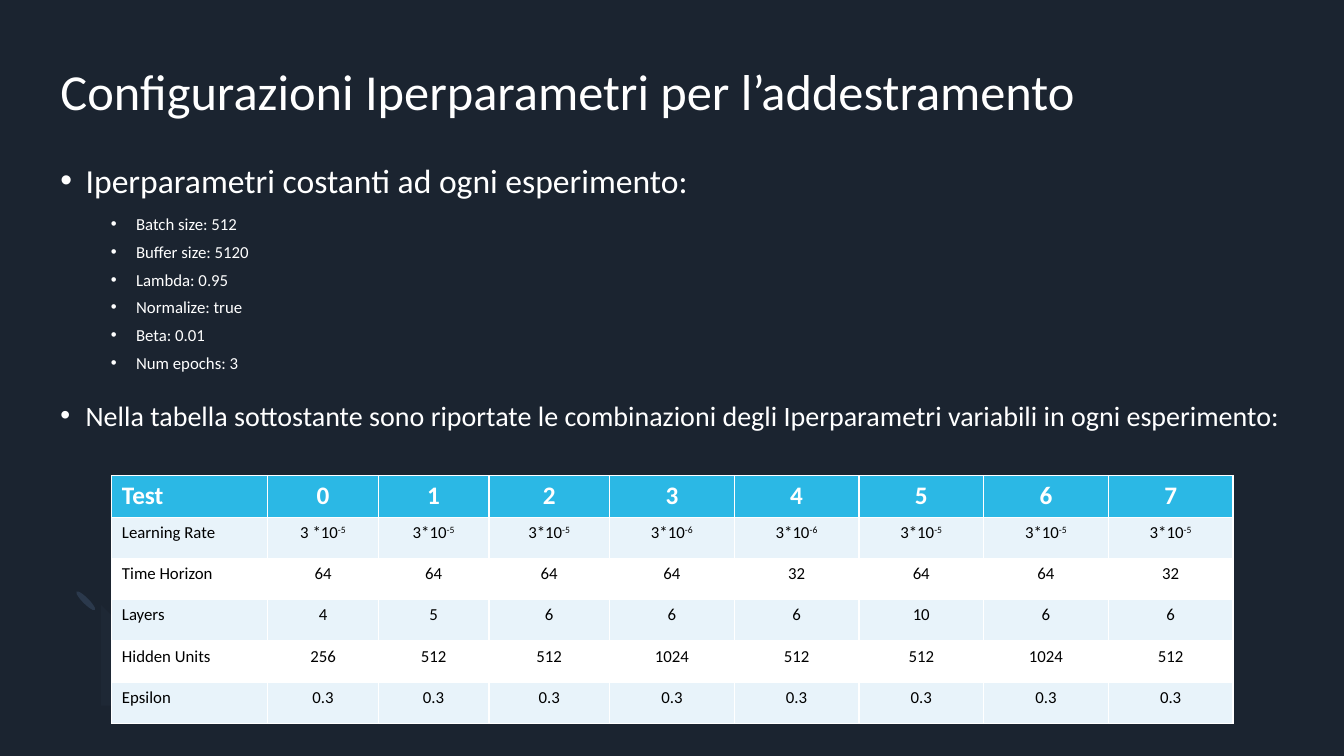
from dataclasses import dataclass

from lxml.etree import SubElement
from pptx import Presentation
from pptx.dml.color import RGBColor
from pptx.enum.shapes import MSO_SHAPE as Preset
from pptx.enum.text import MSO_ANCHOR as Anchor, MSO_AUTO_SIZE as AutoSize, PP_ALIGN as Align
from pptx.oxml.ns import qn
from pptx.util import Inches, Pt


@dataclass(frozen=True)
class Theme:
    font: str = "Calibri"
    background: str = "1B2430"
    light: str = "FFFFFF"
    dark: str = "000000"
    header: str = "2BB8E5"
    band: str = "E8F3FA"
    petal: str = "2B394C"
    arc: str = "748EB1"
    title_size: int = 36
    lead_size: int = 24
    note_size: int = 20
    header_size: int = 18
    small_size: int = 12


THEME = Theme()
WIDTH, HEIGHT = 13.33, 7.5
MARGIN = 0.6
CONTENT_WIDTH = WIDTH - 2 * MARGIN

CONSTANTS = ["Batch size: 512", "Buffer size: 5120", "Lambda: 0.95",
             "Normalize: true", "Beta: 0.01", "Num epochs: 3"]
# A caret marks the start of a superscript
EXPERIMENTS = [
    ["Test", "0", "1", "2", "3", "4", "5", "6", "7"],
    ["Learning Rate", "3 *10^-5", "3*10^-5", "3*10^-5", "3*10^-6",
     "3*10^-6", "3*10^-5", "3*10^-5", "3*10^-5"],
    ["Time Horizon", "64", "64", "64", "64", "32", "64", "64", "32"],
    ["Layers", "4", "5", "6", "6", "6", "10", "6", "6"],
    ["Hidden Units", "256", "512", "512", "1024", "512", "512", "1024", "512"],
    ["Epsilon"] + ["0.3"] * 8,
]
COLUMN_WEIGHTS = [1.55, 1.1, 1.1, 1.2] + [1.24] * 5


def style_run(run, size, color, bold=False):
    run.font.name = THEME.font
    run.font.size = Pt(size)
    run.font.bold = bold
    run.font.color.rgb = RGBColor.from_string(color)


def prepare_frame(frame):
    frame.margin_left = frame.margin_right = frame.margin_top = frame.margin_bottom = 0
    frame.word_wrap = True
    frame.auto_size = AutoSize.NONE
    frame.vertical_anchor = Anchor.TOP


def fill_shape(shape, color):
    shape.shadow.inherit = False
    shape.fill.solid()
    shape.fill.fore_color.rgb = RGBColor.from_string(color)
    shape.line.fill.background()


def curve(start, control_a, control_b, end, steps=12):
    """Points along a cubic curve, without its start."""
    points = []
    for step in range(1, steps + 1):
        t = step / steps
        weights = [(1 - t) ** 3, 3 * t * (1 - t) ** 2, 3 * t * t * (1 - t), t ** 3]
        points.append(tuple(
            sum(w * p[axis] for w, p in zip(weights, (start, control_a, control_b, end)))
            for axis in (0, 1)))
    return points


def add_decoration(slide, left, top):
    # Faint open ring
    outline = curve((0.31, 0.77), (0.11, 0.57), (0.13, 0.23), (0.36, 0))
    outline.append((0.54, 0.18))
    outline += curve((0.54, 0.18), (0.42, 0.29), (0.41, 0.47), (0.51, 0.56))
    outline += curve((0.51, 0.56), (0.61, 0.66), (0.78, 0.65), (0.9, 0.54))
    outline.append((1.07, 0.72))
    outline += curve((1.07, 0.72), (0.85, 0.94), (0.5, 0.97), (0.31, 0.77))
    points = [(left + x, top + y) for x, y in outline]
    builder = slide.shapes.build_freeform(*points[-1], scale=Inches(1))
    builder.add_line_segments(points, close=True)
    ring = builder.convert_to_shape()
    fill_shape(ring, THEME.arc)
    color = ring.fill._xPr.find(qn("a:solidFill"))[0]
    SubElement(color, qn("a:alpha")).set("val", "4000")
    # Slanted tips of the ring
    for x, y in ((0.9, 0.55), (0.37, 0.01)):
        tip = slide.shapes.add_shape(Preset.OVAL, Inches(left + x), Inches(top + y),
                                     Inches(0.06), Inches(0.26))
        tip.rotation = 135
        fill_shape(tip, THEME.petal)


def add_title(slide, left, top, width, height):
    title = slide.shapes.title
    title.left, title.top = Inches(left), Inches(top)
    title.width, title.height = Inches(width), Inches(height)
    prepare_frame(title.text_frame)
    title.text_frame.text = "Configurazioni Iperparametri per l’addestramento"
    paragraph = title.text_frame.paragraphs[0]
    paragraph.alignment = Align.LEFT
    style_run(paragraph.runs[0], THEME.title_size, THEME.light)


def add_bullets(slide, left, top, width, height):
    box = slide.shapes.add_textbox(Inches(left), Inches(top), Inches(width), Inches(height))
    frame = box.text_frame
    prepare_frame(frame)
    # Text, level, size, space before, space after
    items = [("Iperparametri costanti ad ogni esperimento:", 0, THEME.lead_size, 0, 8)]
    items += [(text, 1, THEME.small_size, 0, 4) for text in CONSTANTS]
    items.append(("Nella tabella sottostante sono riportate le combinazioni degli "
                  "Iperparametri variabili in ogni esperimento:", 0, THEME.note_size, 12, 8))
    for index, (text, level, size, before, after) in enumerate(items):
        paragraph = frame.add_paragraph() if index else frame.paragraphs[0]
        paragraph.text = text
        paragraph.level = level
        properties = paragraph._p.get_or_add_pPr()
        properties.set("marL", str(Inches(0.25 + 0.5 * level)))
        properties.set("indent", str(-Inches(0.25)))
        SubElement(properties, qn("a:buFont")).set("typeface", "Arial")
        SubElement(properties, qn("a:buChar")).set("char", "•")
        paragraph.line_spacing = 1.1
        paragraph.space_before, paragraph.space_after = Pt(before), Pt(after)
        style_run(paragraph.runs[0], size, THEME.light)


def style_cell(cell, fill):
    properties = cell._tc.get_or_add_tcPr()
    for side in ("lnL", "lnR", "lnT", "lnB"):
        border = SubElement(properties, qn(f"a:{side}"), w=str(Pt(1)))
        SubElement(SubElement(border, qn("a:solidFill")), qn("a:srgbClr"), val=THEME.light)
    cell.fill.solid()
    cell.fill.fore_color.rgb = RGBColor.from_string(fill)


def write_cell(cell, text, is_header, is_label):
    paragraph = cell.text_frame.paragraphs[0]
    paragraph.alignment = Align.LEFT if is_label else Align.CENTER
    size = THEME.header_size if is_header else THEME.small_size
    color = THEME.light if is_header else THEME.dark
    for position, part in enumerate(text.split("^")):
        run = paragraph.add_run()
        run.text = part
        style_run(run, size, color, bold=is_header)
        if position:
            run._r.get_or_add_rPr().set("baseline", "30000")


def add_experiments(slide, left, top, width, height):
    rows, columns = len(EXPERIMENTS), len(COLUMN_WEIGHTS)
    table = slide.shapes.add_table(rows, columns, Inches(left), Inches(top),
                                   Inches(width), Inches(height)).table
    table.first_row = table.horz_banding = False
    for column, weight in zip(table.columns, COLUMN_WEIGHTS):
        column.width = Inches(width * weight / sum(COLUMN_WEIGHTS))
    for row_index, values in enumerate(EXPERIMENTS):
        table.rows[row_index].height = Inches(height / rows)
        fill = THEME.band if row_index % 2 else THEME.light
        if row_index == 0:
            fill = THEME.header
        for column_index, text in enumerate(values):
            cell = table.cell(row_index, column_index)
            style_cell(cell, fill)
            write_cell(cell, text, row_index == 0, column_index == 0)


def main():
    presentation = Presentation()
    presentation.slide_width, presentation.slide_height = Inches(WIDTH), Inches(HEIGHT)
    slide = presentation.slides.add_slide(presentation.slide_layouts[5])
    slide.background.fill.solid()
    slide.background.fill.fore_color.rgb = RGBColor.from_string(THEME.background)
    add_decoration(slide, 0.45, 5.82)
    add_title(slide, MARGIN, 0.6, CONTENT_WIDTH, 0.95)
    add_bullets(slide, MARGIN, 1.55, CONTENT_WIDTH, 4.35)
    add_experiments(slide, 1.11, 4.72, 11.12, 2.46)
    presentation.save("out.pptx")


if __name__ == "__main__":
    main()
